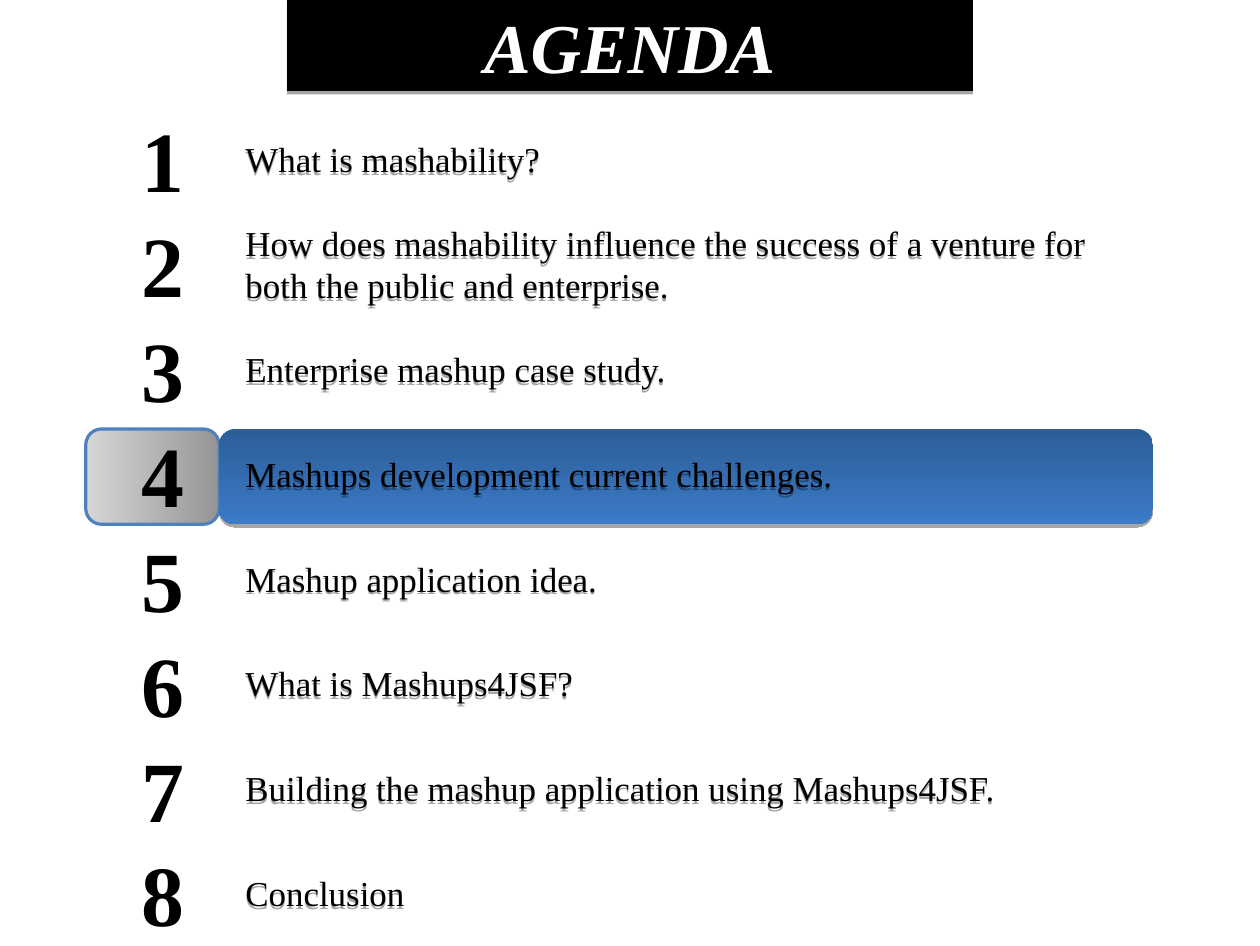
"""Build the agenda slide with its fourth topic highlighted."""
from lxml import etree
from pptx import Presentation
from pptx.dml.color import RGBColor
from pptx.enum.shapes import MSO_SHAPE
from pptx.enum.text import MSO_ANCHOR, PP_ALIGN
from pptx.oxml.ns import qn
from pptx.util import Inches, Pt

ROUNDED = MSO_SHAPE.ROUNDED_RECTANGLE
MIDDLE = MSO_ANCHOR.MIDDLE
LEFT, CENTER = PP_ALIGN.LEFT, PP_ALIGN.CENTER

TITLE = "AGENDA"
TOPICS = [
    "What is mashability?",
    "How does mashability influence the success of a venture for "
    "both the public and enterprise.",
    "Enterprise mashup case study.",
    "Mashups development current challenges.",
    "Mashup application idea.",
    "What is Mashups4JSF?",
    "Building the mashup application using Mashups4JSF.",
    "Conclusion",
]
FONT = "Times New Roman"
BLACK, WHITE, BLUE = "000000", "FFFFFF", "4F81BD"
GREYS, BLUES = ("959595", "D6D6D6"), ("2C5D98", "3C7BC7")
NUMBER_LEFT, NUMBER_WIDTH = 0.84, 7 / 6
TOPIC_LEFT, TOPIC_WIDTH = NUMBER_LEFT + NUMBER_WIDTH, 49 / 6
FIRST_TOP, ROW_STEP, ROW_HEIGHT = 0.97, 11 / 12, 10 / 12
HIGHLIGHT_TOP, HIGHLIGHT_SHIFT = 3.75, -0.09


def color(value):
    return RGBColor.from_string(value)


def clear_style(box):
    box.shadow.inherit = False
    box.fill.background()
    box.line.fill.background()
    return box


def add_rounded(page, left, top, width, height):
    return clear_style(page.shapes.add_shape(
        ROUNDED, Inches(left), Inches(top), Inches(width), Inches(height)))


def add_outline(page, left, top, width, height):
    x, y = Inches(left), Inches(top)
    right, bottom = x + Inches(width), y + Inches(height)
    builder = page.shapes.build_freeform(x, y)
    builder.add_line_segments([(right, y), (right, bottom), (x, bottom)], close=True)
    return clear_style(builder.convert_to_shape())


def cast_shadow(box):
    effects = box.element.spPr.find(qn("a:effectLst"))
    shadow = etree.SubElement(
        effects, qn("a:outerShdw"), blurRad="0", dist=str(Pt(1.8)),
        dir="5400000", rotWithShape="0")
    tint = etree.SubElement(shadow, qn("a:srgbClr"), val=BLACK)
    etree.SubElement(tint, qn("a:alpha"), val="35000")


def fill_gradient(box, colors, angle):
    box.fill.gradient()
    box.fill.gradient_angle = angle
    for stop, value, position in zip(box.fill.gradient_stops, colors, (0, 1)):
        stop.color.rgb = color(value)
        stop.position = position


def write(box, text, size, align, shade=BLACK, bold=False, italic=False):
    frame = box.text_frame
    frame.word_wrap = True
    frame.vertical_anchor = MIDDLE
    para = frame.paragraphs[0]
    para.alignment = align
    span = para.add_run()
    span.text = text
    span.font.name = FONT
    span.font.size = Pt(size)
    span.font.bold = bold
    span.font.italic = italic
    span.font.color.rgb = color(shade)


def add_highlight(page):
    tab, bar = [
        add_rounded(page, left + HIGHLIGHT_SHIFT, HIGHLIGHT_TOP, width, ROW_HEIGHT)
        for left, width in ((NUMBER_LEFT, NUMBER_WIDTH), (TOPIC_LEFT, TOPIC_WIDTH))]
    fill_gradient(tab, GREYS, 180)
    tab.line.color.rgb = color(BLUE)
    tab.line.width = Pt(2)
    fill_gradient(bar, BLUES, 270)
    cast_shadow(bar)


def main():
    deck = Presentation()
    deck.slide_width, deck.slide_height = Inches(11.02), Inches(8.27)
    page = deck.slides.add_slide(deck.slide_layouts[6])

    banner = add_outline(page, 2.51, 0, 6, 0.8)
    banner.fill.solid()
    banner.fill.fore_color.rgb = color(BLACK)
    cast_shadow(banner)
    write(banner, TITLE, 44, CENTER, WHITE, bold=True, italic=True)

    add_highlight(page)
    for row, topic in enumerate(TOPICS):
        top = FIRST_TOP + row * ROW_STEP
        box = add_outline(page, TOPIC_LEFT, top, TOPIC_WIDTH, ROW_HEIGHT)
        box.text_frame.margin_left = Inches(0.14)
        cast_shadow(box)
        write(box, topic, 22, LEFT)
        number = add_outline(page, NUMBER_LEFT, top, NUMBER_WIDTH, ROW_HEIGHT)
        write(number, str(row + 1), 54, CENTER, bold=True)

    deck.save("out.pptx")


if __name__ == "__main__":
    main()
